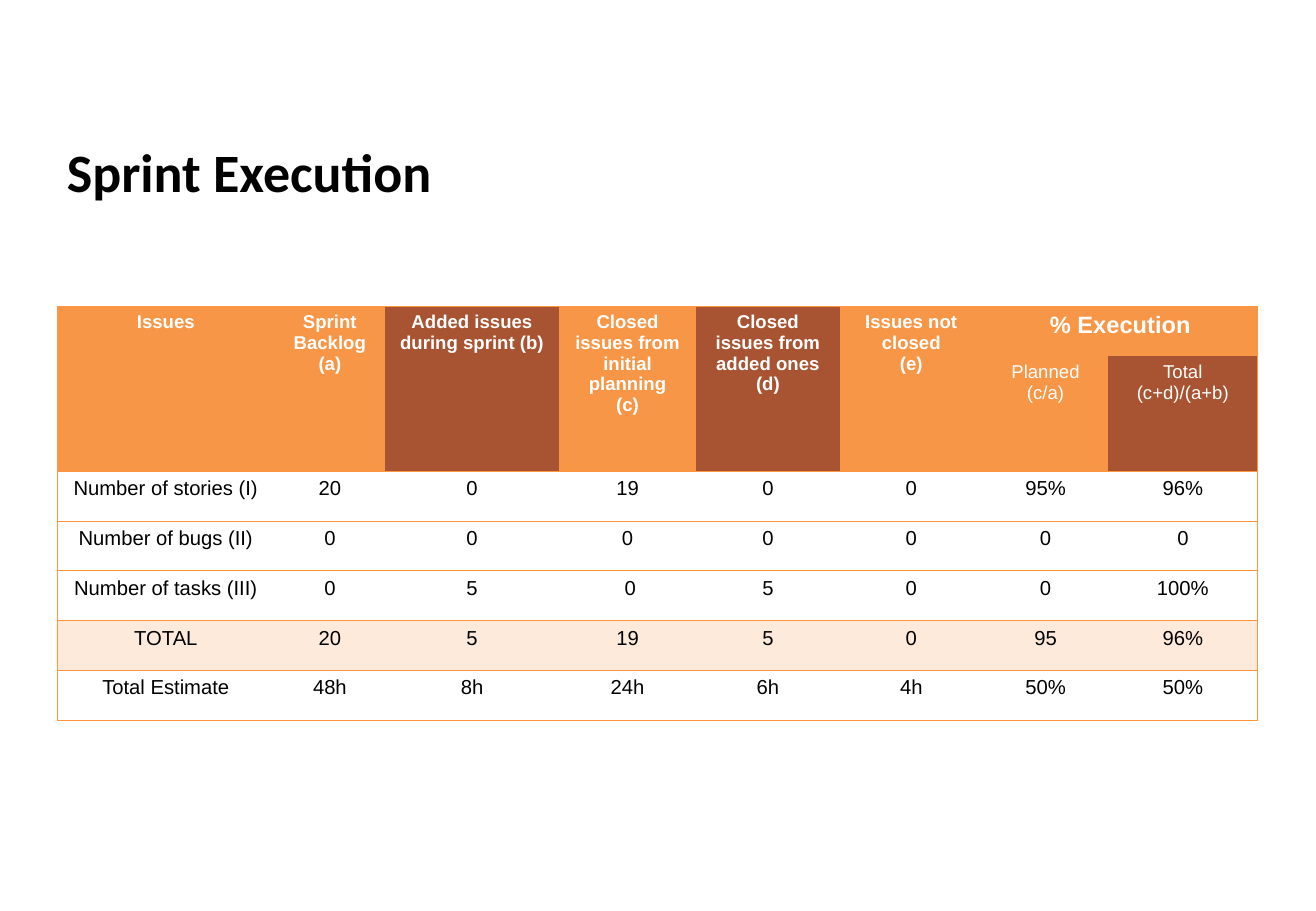
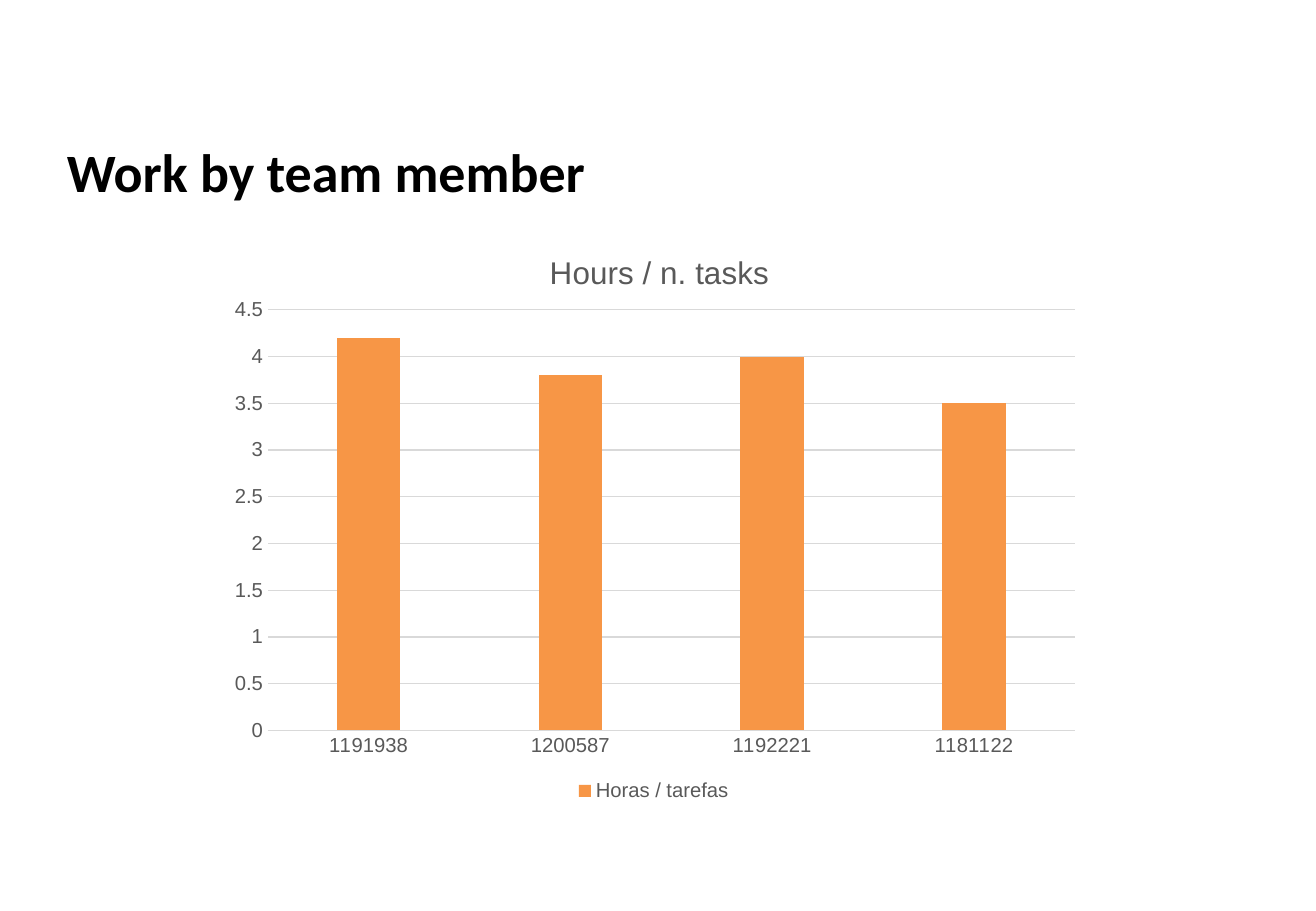
from lxml import etree
from pptx import Presentation
from pptx import util as u
from pptx.chart.data import CategoryChartData
from pptx.dml.color import RGBColor
from pptx.enum import chart as kinds, text
from pptx.oxml import ns

ORANGE, BROWN, PEACH, LINE = "F79646", "A85432", "FDEADA", "FF953E"
WHITE, BLACK, GREY, PALE = "FFFFFF", "000000", "595959", "D9D9D9"
PLAIN = "{2D5ABB26-0587-4C30-8999-92F81FD0307C}"

WIDTHS = [179, 91, 143, 113, 118, 118, 103, 123]
HEIGHTS = [41, 94, 41, 41, 41, 41, 41]
HEAD = ["Issues", "Sprint Backlog\n(a)", "Added issues during sprint (b)",
        "Closed issues from initial planning\n(c)",
        "Closed issues from added ones (d)", "Issues not closed\n(e)",
        "% Execution", ""]
SUB = [""] * 6 + ["Planned\n(c/a)", "Total\n(c+d)/(a+b)"]
BODY = [
    ["Number of stories (I)", "20", "0", "19", "0", "0", "95%", "96%"],
    ["Number of bugs (II)", "0", "0", "0", "0", "0", "0", "0"],
    ["Number of tasks (III)", "0", "5", " 0", "5", "0", "0", "100%"],
    ["TOTAL", "20", "5", "19", "5", "0", "95", "96%"],
    ["Total Estimate", "48h", "8h", "24h", "6h", "4h", "50%", "50%"],
]
HOURS = {"1191938": 4.2, "1200587": 3.8, "1192221": 4, "1181122": 3.5}


def px(*sizes):
    """Turn px lengths, 100 to the inch, into EMU."""
    return [u.Emu(size * 9144) for size in sizes]


def rgb(code):
    """Make a colour from a hex string."""
    return RGBColor.from_string(code)


def style(font, size, color, bold=False, name="Arial"):
    """Set the look of a font."""
    font.name, font.size, font.bold = name, u.Pt(size), bold
    font.color.rgb = rgb(color)


def add_slide(deck, title):
    """Add a slide with the shared title style."""
    slide = deck.slides.add_slide(deck.slide_layouts[5])
    box = slide.shapes.title
    box.left, box.top, box.width, box.height = px(45, 109, 989, 63)
    frame = box.text_frame
    frame.text = title
    frame.vertical_anchor = text.MSO_ANCHOR.MIDDLE
    para = frame.paragraphs[0]
    para.alignment = text.PP_ALIGN.LEFT
    style(para.font, 32, BLACK, True, "Calibri")
    return slide


def add_edges(cell, sides):
    """Draw the named sides of a cell in orange and hide the others."""
    props = cell._tc.get_or_add_tcPr()
    for side in "LRTB":
        edge = etree.SubElement(props, ns.qn("a:ln" + side))
        if side in sides:
            edge.set("w", str(u.Pt(0.75)))
            fill = etree.SubElement(edge, ns.qn("a:solidFill"))
            etree.SubElement(fill, ns.qn("a:srgbClr")).set("val", LINE)
        else:
            etree.SubElement(edge, ns.qn("a:noFill"))


def find_sides(row, col):
    """Tell which sides of a cell carry a line."""
    sides = "B" if row > 1 else ""
    sides += "T" if row != 1 else ""
    return sides + {0: "L", len(WIDTHS) - 1: "R"}.get(col, "")


def find_look(row, col):
    """Give the fill, text colour, size and weight of a cell."""
    if row > 1:
        return PEACH if BODY[row - 2][0] == "TOTAL" else WHITE, BLACK, 12, False
    dark = col in (2, 4) or (row, col) == (1, 7)
    size = 14 if (row, col) == (0, 6) else 11
    return BROWN if dark else ORANGE, WHITE, size, row == 0


def fill_cell(cell, words, row, col):
    """Write and format one cell."""
    fill, color, size, bold = find_look(row, col)
    add_edges(cell, find_sides(row, col))
    cell.fill.solid()
    cell.fill.fore_color.rgb = rgb(fill)
    if cell.is_spanned:
        return
    cell.text = words
    for para in cell.text_frame.paragraphs:
        para.alignment = text.PP_ALIGN.CENTER
        style(para.font, size, color, bold)


def add_grid(slide):
    """Add the sprint table."""
    rows = [HEAD, SUB] + BODY
    table = slide.shapes.add_table(
        len(rows), len(WIDTHS), *px(47, 252, sum(WIDTHS), sum(HEIGHTS))).table
    table.first_row = table.horz_banding = False
    table._tbl.tblPr.find(ns.qn("a:tableStyleId")).text = PLAIN
    for col, width in zip(table.columns, px(*WIDTHS)):
        col.width = width
    for row, height in zip(table.rows, px(*HEIGHTS)):
        row.height = height
    for col in range(6):
        table.cell(0, col).merge(table.cell(1, col))
    table.cell(0, 6).merge(table.cell(0, 7))
    for row, line in enumerate(rows):
        for col, words in enumerate(line):
            fill_cell(table.cell(row, col), words, row, col)


def place(node, index, **marks):
    """Give a chart part a fixed layout."""
    for old in node.findall(ns.qn("c:layout")):
        node.remove(old)
    layout = etree.Element(ns.qn("c:layout"))
    manual = etree.SubElement(layout, ns.qn("c:manualLayout"))
    for name, value in marks.items():
        etree.SubElement(manual, ns.qn("c:" + name)).set("val", str(value))
    node.insert(index, layout)


def style_axis(axis):
    """Format the labels and ticks of an axis."""
    style(axis.tick_labels.font, 12, GREY)
    axis.major_tick_mark = axis.minor_tick_mark = kinds.XL_TICK_MARK.NONE


def set_line(line, color):
    """Format a thin chart line."""
    line.width = u.Pt(0.75)
    line.color.rgb = rgb(color)


def add_bars(slide):
    """Add the chart of hours per task."""
    data = CategoryChartData()
    data.categories = list(HOURS)
    data.add_series("Horas / tarefas", list(HOURS.values()))
    chart = slide.shapes.add_chart(
        kinds.XL_CHART_TYPE.COLUMN_CLUSTERED, *px(177, 183, 722, 481), data).chart
    style(chart.font, 10, BLACK)

    title = chart.chart_title
    title.text_frame.text = "Hours / n. tasks"
    style(title.text_frame.paragraphs[0].font, 18.6, GREY)
    edge = {"xMode": "edge", "yMode": "edge"}
    place(title._element, 1, **edge, x=0.375, y=0.04)
    place(chart._chartSpace.chart.plotArea, 0, layoutTarget="inner", **edge,
          x=0.06, y=0.15, w=0.92, h=0.72)

    chart.has_legend = True
    chart.legend.position = kinds.XL_LEGEND_POSITION.BOTTOM
    chart.legend.include_in_layout = False
    style(chart.legend.font, 12, GREY)

    cats, vals = chart.category_axis, chart.value_axis
    style_axis(cats)
    style_axis(vals)
    set_line(cats.format.line, PALE)
    set_line(vals.major_gridlines.format.line, PALE)
    vals.format.line.fill.background()
    vals.minimum_scale, vals.maximum_scale, vals.major_unit = 0, 4.5, 0.5
    vals.tick_labels.number_format = "General"
    vals.tick_labels.number_format_is_linked = False

    plot = chart.plots[0]
    plot.gap_width, plot.overlap, plot.vary_by_categories = 219, -27, False
    bars = plot.series[0].format.fill
    bars.solid()
    bars.fore_color.rgb = rgb(ORANGE)


def main():
    """Build and save the deck."""
    deck = Presentation()
    deck.slide_width, deck.slide_height = px(1083, 750)
    add_grid(add_slide(deck, "Sprint Execution"))
    add_bars(add_slide(deck, "Work by team member"))
    deck.save("out.pptx")


if __name__ == "__main__":
    main()
